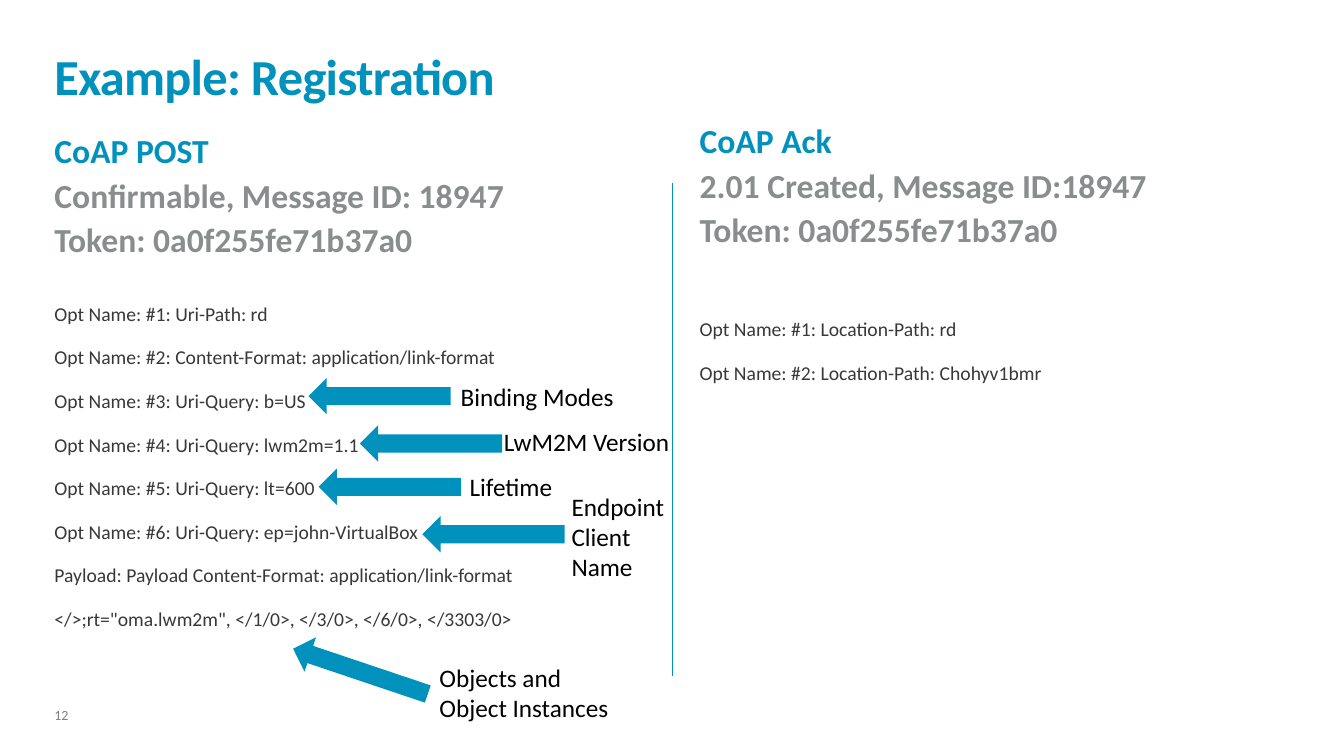
from pptx import Presentation
from pptx.dml.color import RGBColor
from pptx.enum.shapes import MSO_CONNECTOR, MSO_SHAPE
from pptx.enum.text import MSO_ANCHOR
from pptx.oxml.ns import qn
from pptx.util import Inches, Pt
from lxml.etree import SubElement

BLUE, GRAY, DARK = "0091BD", "898D8D", "383838"

deck = Presentation()
deck.slide_width, deck.slide_height = Inches(13.33), Inches(7.5)
slide = deck.slides.add_slide(deck.slide_layouts[6])


def color(code):
    return RGBColor.from_string(code)


def write(lines, box, size=18, colors=("000000",), bold=False, space=0,
          line=1.0, inset=(0, 0), anchor=MSO_ANCHOR.TOP, wrap=True, track=0):
    """Add a text box; the last color serves all remaining lines."""
    shape = slide.shapes.add_textbox(*[Inches(n) for n in box])
    frame = shape.text_frame
    frame.word_wrap = wrap
    frame.vertical_anchor = anchor
    frame.margin_left = frame.margin_right = Inches(inset[0])
    frame.margin_top = frame.margin_bottom = Inches(inset[1])
    for i, text in enumerate(lines):
        para = frame.paragraphs[0] if i == 0 else frame.add_paragraph()
        para.line_spacing = line
        para.space_after = Pt(space)
        run = para.add_run()
        run.text = text
        font = run.font
        font.name, font.size, font.bold = "Calibri", Pt(size), bold
        font.color.rgb = color(colors[min(i, len(colors) - 1)])
        if track:
            run._r.get_or_add_rPr().set("spc", str(track))


# Slide number and center rule
write(["12"], (0.54, 7.03, 0.34, 0.15), size=10, colors=["7F7F7F"], line=0.9)
rule = slide.shapes.add_connector(
    MSO_CONNECTOR.STRAIGHT, Inches(6.67), Inches(1.82), Inches(6.67), Inches(6.71))
rule.line.color.rgb = color(BLUE)
rule.line.width = Pt(1)
SubElement(rule._element.spPr, qn("a:effectLst"))

# Title
write(["Example: Registration"], (0.54, 0.32, 12.23, 0.73), size=36,
      colors=[BLUE], bold=True, line=0.85, anchor=MSO_ANCHOR.BOTTOM, track=-50)

# Request and reply columns: left, head bottom, body top, head, body
columns = [
    (0.54, 2.58, 3.02,
     ["CoAP POST", "Confirmable, Message ID: 18947", "Token: 0a0f255fe71b37a0"],
     ["Opt Name: #1: Uri-Path: rd",
      "Opt Name: #2: Content-Format: application/link-format",
      "Opt Name: #3: Uri-Query: b=US",
      "Opt Name: #4: Uri-Query: lwm2m=1.1",
      "Opt Name: #5: Uri-Query: lt=600",
      "Opt Name: #6: Uri-Query: ep=john-VirtualBox",
      "Payload: Payload Content-Format: application/link-format",
      '</>;rt="oma.lwm2m", </1/0>, </3/0>, </6/0>, </3303/0>']),
    (6.94, 2.48, 3.17,
     ["CoAP Ack", "2.01 Created, Message ID:18947", "Token: 0a0f255fe71b37a0"],
     ["Opt Name: #1: Location-Path: rd",
      "Opt Name: #2: Location-Path: Chohyv1bmr"]),
]
for left, base, top, head, body in columns:
    write(head, (left, base - 1.3, 5.83, 1.3), size=24, colors=[BLUE, GRAY],
          bold=True, space=6, line=0.9, anchor=MSO_ANCHOR.BOTTOM)
    write(body, (left, top, 5.83, 6.52 - top), size=14, colors=[DARK],
          space=16, line=0.9)

# Callouts: arrow left, arrow top, turn, label box, label
callouts = [
    (3.06, 3.75, 180, (4.47, 3.73, 1.74, 0.4), ["Binding Modes"]),
    (3.57, 4.22, 180, (4.9, 4.18, 1.86, 0.4), ["LwM2M Version"]),
    (3.16, 4.65, 180, (4.56, 4.63, 1.03, 0.4), ["Lifetime"]),
    (4.19, 5.12, 180, (5.57, 4.82, 1.19, 1.01), ["Endpoint", "Client", "Name"]),
    (2.87, 6.48, 198.6, (4.26, 6.52, 1.89, 0.71),
     ["Objects and", "Object Instances"]),
]
for left, top, turn, box, label in callouts:
    arrow = slide.shapes.add_shape(MSO_SHAPE.RIGHT_ARROW, Inches(left),
                                   Inches(top), Inches(1.41), Inches(0.36))
    arrow.rotation = turn
    arrow.shadow.inherit = False
    arrow.fill.solid()
    arrow.fill.fore_color.rgb = color(BLUE)
    arrow.line.fill.background()
    write(label, box, inset=(0.1, 0.05), wrap=False)

deck.save("out.pptx")
